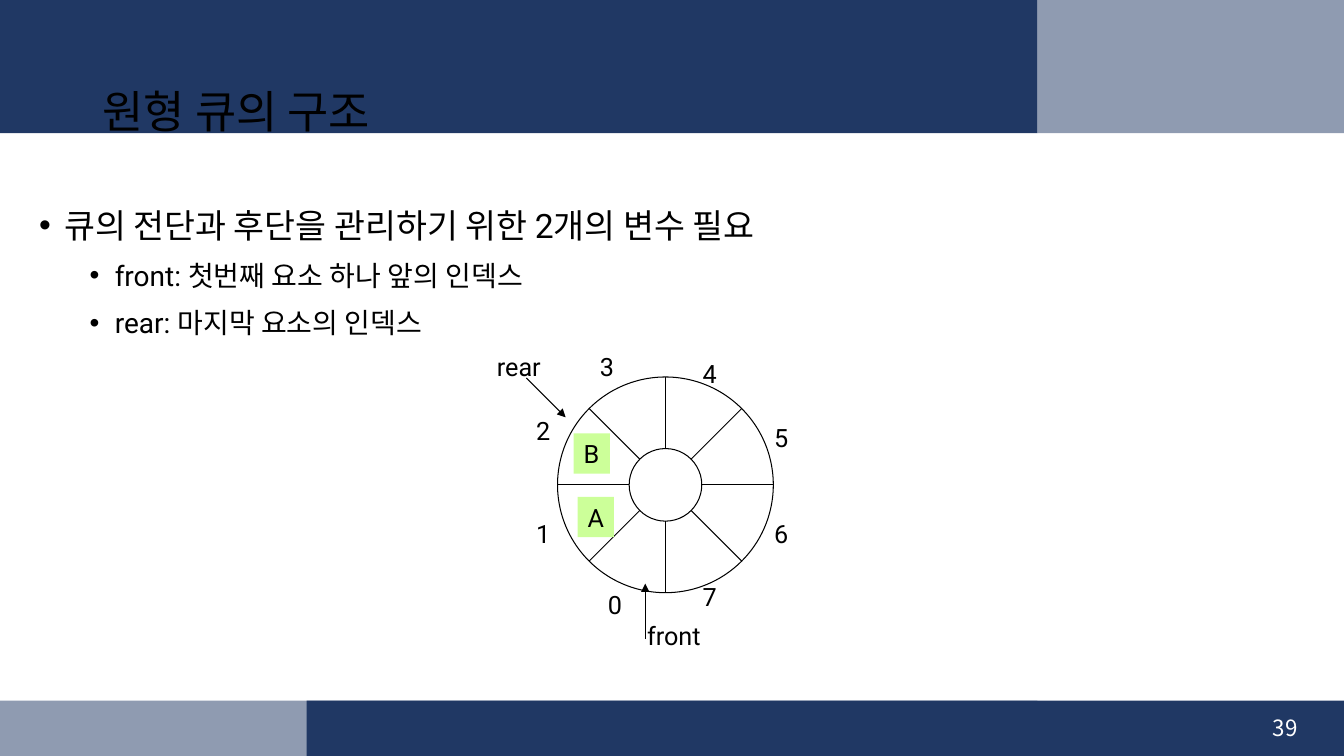
import math

import pptx
import pptx.util
import pptx.dml.color
import pptx.enum.shapes
import pptx.enum.text
import pptx.oxml.ns
from lxml import etree

Inches = pptx.util.Inches
Pt = pptx.util.Pt
qn = pptx.oxml.ns.qn
SHAPE = pptx.enum.shapes.MSO_SHAPE
ANCHOR = pptx.enum.text.MSO_ANCHOR
ALIGN = pptx.enum.text.PP_ALIGN

COLORS = {"navy": "203864", "white": "FFFFFF", "black": "000000", "lime": "CCFF99"}
HANGUL = "Noto Sans CJK KR"


def rgb(name):
    return pptx.dml.color.RGBColor.from_string(COLORS[name])


class Deck:
    """Holds the style and the current slide."""

    def __init__(self):
        self.file = pptx.Presentation()
        self.file.slide_width = Inches(13.33)
        self.file.slide_height = Inches(7.5)
        self.slide = self.file.slides.add_slide(self.file.slide_layouts[6])
        self.shapes = self.slide.shapes

    def shape(self, kind, box, fill=None, alpha=None, line=None):
        item = self.shapes.add_shape(kind, *map(Inches, box))
        item.shadow.inherit = False
        if fill:
            item.fill.solid()
            item.fill.fore_color.rgb = rgb(fill)
        else:
            item.fill.background()
        if alpha:
            color = item._element.spPr.find(".//" + qn("a:srgbClr"))
            etree.SubElement(color, qn("a:alpha"), val=str(alpha * 1000))
        if line:
            item.line.color.rgb = rgb(line)
            item.line.width = Pt(0.75)
        else:
            item.line.fill.background()

    def line(self, start, end, arrow=False):
        kind = pptx.enum.shapes.MSO_CONNECTOR.STRAIGHT
        item = self.shapes.add_connector(kind, *map(Inches, start + end))
        item.line.color.rgb = rgb("black")
        item.line.width = Pt(0.75)
        if arrow:
            etree.SubElement(item.line._get_or_add_ln(), qn("a:tailEnd"), type="triangle")
        etree.SubElement(item._element.spPr, qn("a:effectLst"))

    def font(self, par, size, color="black", face="Roboto"):
        """Set the Latin and the Hangul font of a paragraph."""
        par.font.size = Pt(size)
        par.font.name = face
        par.font.color.rgb = rgb(color)
        base = par._p.pPr.find(qn("a:defRPr"))
        etree.SubElement(base, qn("a:ea"), typeface=HANGUL)

    def text(self, box, text, size, color="black", face="Roboto", wrap=True,
             anchor=ANCHOR.TOP, align=ALIGN.LEFT, fill=None):
        item = self.shapes.add_textbox(*map(Inches, box))
        if fill:
            item.fill.solid()
            item.fill.fore_color.rgb = rgb(fill)
        frame = item.text_frame
        frame.word_wrap = wrap
        frame.vertical_anchor = anchor
        par = frame.paragraphs[0]
        par.text = text
        par.alignment = align
        self.font(par, size, color, face)
        return par

    def label(self, left, top, text, width=0.35, fill=None):
        self.text((left, top, width, 0.4), text, 18, wrap=False, fill=fill)

    def bullets(self, box, rows):
        frame = self.shapes.add_textbox(*map(Inches, box)).text_frame
        frame.word_wrap = True
        for i, (level, size, space, text) in enumerate(rows):
            par = frame.add_paragraph() if i else frame.paragraphs[0]
            par.text = text
            par.level = level
            props = par._p.get_or_add_pPr()
            props.set("marL", str(Inches(0.25 + 0.5 * level)))
            props.set("indent", str(Inches(-0.25)))
            etree.SubElement(props, qn("a:buFont"), typeface="Arial")
            etree.SubElement(props, qn("a:buChar"), char="•")
            par.line_spacing = 1.2
            par.space_before = Pt(space)
            self.font(par, size)


def bands(deck):
    deck.shape(SHAPE.RECTANGLE, (3.04, 6.95, 10.29, 0.55), "navy")
    deck.shape(SHAPE.RECTANGLE, (0, 6.95, 10.29, 0.55), "navy", 50)
    deck.shape(SHAPE.RECTANGLE, (0, 0, 10.29, 1.32), "navy")
    deck.shape(SHAPE.RECTANGLE, (10.29, 0, 3.04, 1.32), "navy", 50)
    deck.text((9.97, 7.02, 3, 0.4), "39", 16, "white", HANGUL,
              anchor=ANCHOR.MIDDLE, align=ALIGN.RIGHT)


def ring(deck, x, y, inner, outer, count):
    """Draw two circles and the spokes between them."""
    for r in (outer, inner):
        deck.shape(SHAPE.OVAL, (x - r, y - r, 2 * r, 2 * r), line="black")
    for i in range(count):
        turn = 2 * math.pi * i / count
        start, end = ((x + r * math.cos(turn), y + r * math.sin(turn))
                      for r in (inner, outer))
        deck.line(start, end)


def queue(deck):
    ring(deck, 6.6, 4.81, 0.36, 1.07, 8)
    spots = [(5.93, 5.8), (5.22, 5.09), (5.22, 4.07), (5.85, 3.44),
             (6.87, 3.51), (7.58, 4.14), (7.58, 5.09), (6.87, 5.72)]
    for i, (left, top) in enumerate(spots):
        deck.label(left, top, str(i))
    deck.line((6.4, 6.34), (6.4, 5.79), arrow=True)
    deck.label(6.32, 6.11, "front", 0.77)
    deck.label(4.83, 3.44, "rear", 0.68)
    deck.label(5.73, 4.93, "A", 0.36, "lime")
    deck.label(5.69, 4.3, "B", 0.36, "lime")
    deck.line((5.22, 3.75), (5.61, 4.14), arrow=True)


def main():
    deck = Deck()
    bands(deck)
    deck.bullets((0.29, 1.9, 12.6, 4.61), [
        (0, 24, 10, "큐의 전단과 후단을 관리하기 위한 2개의 변수 필요"),
        (1, 20, 5, "front: 첫번째 요소 하나 앞의 인덱스"),
        (1, 20, 5, "rear: 마지막 요소의 인덱스"),
    ])
    title = deck.text((0.92, 0.76, 9.37, 0.74), "원형 큐의 구조", 32, face=HANGUL,
                      anchor=ANCHOR.MIDDLE)
    title.line_spacing = 0.9
    queue(deck)
    deck.file.save("out.pptx")


if __name__ == "__main__":
    main()
